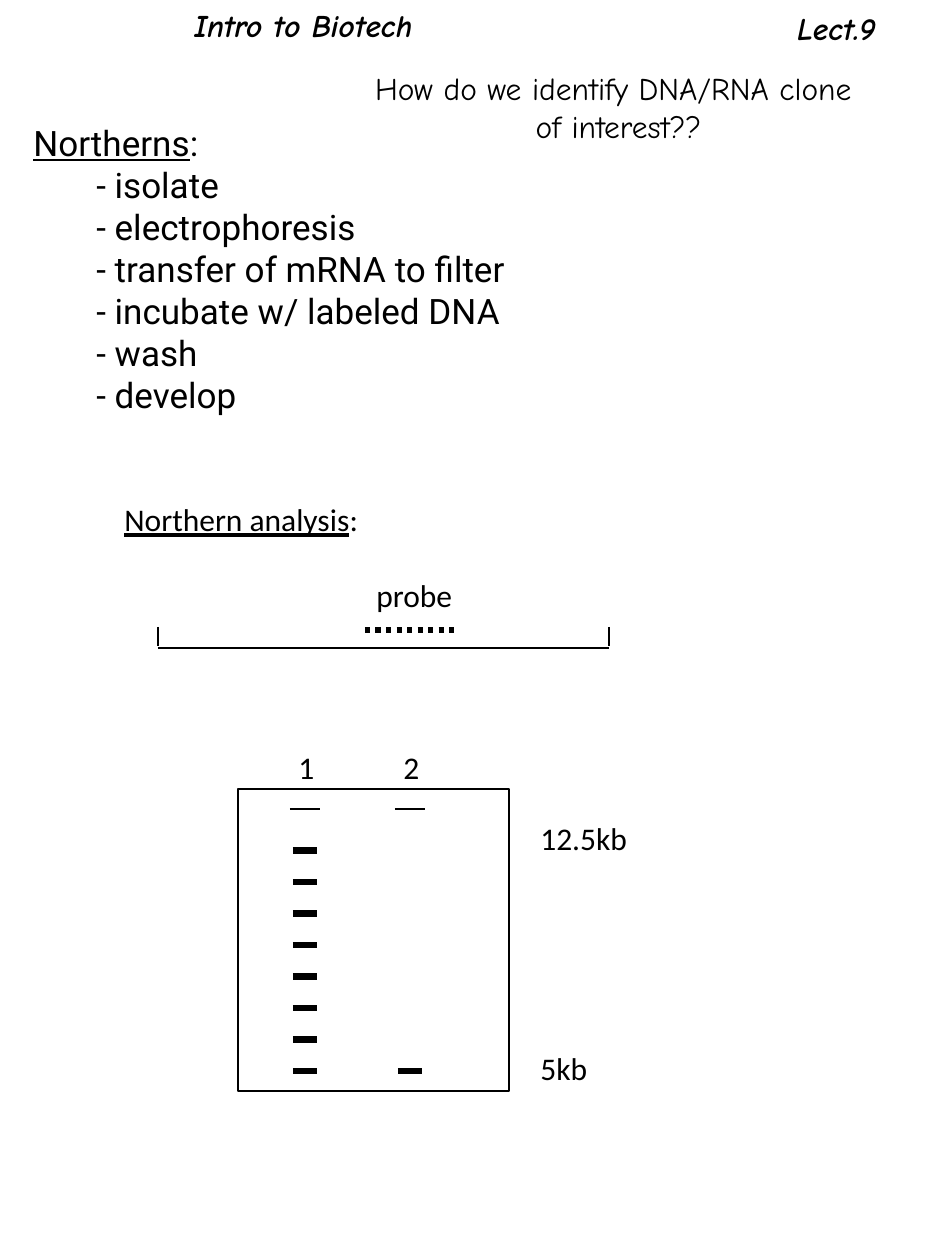
from lxml.etree import SubElement
from pptx import Presentation
from pptx.dml.color import RGBColor
from pptx.enum.dml import MSO_LINE
from pptx.enum.shapes import MSO_CONNECTOR, MSO_SHAPE
from pptx.enum.text import MSO_AUTO_SIZE, PP_ALIGN
from pptx.oxml.ns import qn
from pptx.util import Emu, Pt

COLORS = {"ink": "000000", "paper": "FFFFFF"}
BODY, STEPS, HAND = "Calibri", "Roboto", "Comic Neue"
TAB = 63


def px(length):
    return Emu(round(length * 914400 / 126))


def color(name):
    return RGBColor.from_string(COLORS[name])


class Page:
    def __init__(self, slide):
        self.slide = slide
        slide.background.fill.solid()
        slide.background.fill.fore_color.rgb = color("paper")

    def text(self, left, top, width, height, lines, face=BODY, size=18,
             align=PP_ALIGN.LEFT, strong=False):
        box = self.slide.shapes.add_textbox(px(left), px(top), px(width), px(height))
        frame = box.text_frame
        frame.word_wrap = False
        frame.auto_size = MSO_AUTO_SIZE.SHAPE_TO_FIT_TEXT
        for number, line in enumerate(lines):
            paragraph = frame.paragraphs[0] if number == 0 else frame.add_paragraph()
            paragraph.alignment = align
            if line[0][0].startswith("\t"):
                stops = SubElement(paragraph._p.get_or_add_pPr(), qn("a:tabLst"))
                SubElement(stops, qn("a:tab"), pos=str(px(TAB)), algn="l")
            for words, underlined in line:
                run = paragraph.add_run()
                run.text = words
                font = run.font
                font.name, font.size = face, Pt(size)
                font.underline = underlined
                font.bold = font.italic = strong
                font.color.rgb = color("ink")

    def line(self, x1, y1, x2, y2, weight=1, dash=None):
        rule = self.slide.shapes.add_connector(
            MSO_CONNECTOR.STRAIGHT, px(x1), px(y1), px(x2), px(y2))
        rule.line.color.rgb = color("ink")
        rule.line.width = Pt(weight)
        if dash:
            rule.line.dash_style = dash
        SubElement(rule._element.spPr, qn("a:effectLst"))

    def frame(self, left, top, width, height):
        box = self.slide.shapes.add_shape(
            MSO_SHAPE.RECTANGLE, px(left), px(top), px(width), px(height))
        box.shadow.inherit = False
        box.fill.background()
        box.line.color.rgb = color("ink")
        box.line.width = Pt(1)


def plain(words):
    return [(words, False)]


def heading(words):
    return [(words, True), (":", False)]


def main():
    deck = Presentation()
    deck.slide_width, deck.slide_height = px(945), px(1260)
    page = Page(deck.slides.add_slide(deck.slide_layouts[6]))

    steps = ["isolate", "electrophoresis", "transfer of mRNA to filter",
             "incubate w/ labeled DNA", "wash", "develop"]
    page.text(21, 115, 553, 309,
              [heading("Northerns")] + [plain(f"\t- {step}") for step in steps],
              face=STEPS, size=20)
    page.text(112, 494, 261, 50, [heading("Northern analysis")])

    bracket_left, bracket_right, bracket_base = 158, 609, 648
    page.line(bracket_left, bracket_base, bracket_right, bracket_base)
    for end in (bracket_right, bracket_left):
        page.line(end, 627, end, 646)

    page.frame(238, 789, 271, 302)
    first_band, band_count = 851, 8
    band_tops = [first_band + number * 63 // 2 for number in range(band_count)]
    for lane, center, bands in (("1", 305, band_tops), ("2", 410, band_tops[-1:])):
        page.text(center - 19, 742, 42, 50, [plain(lane)])
        page.line(center - 15, 809, center + 15, 809)
        for band in bands:
            page.line(center - 12, band, center + 12, band, weight=4)
    page.text(528, 1043, 72, 50, [plain("5kb")])
    page.text(528, 813, 112, 50, [plain("12.5kb")])

    page.line(365, 630, 457, 630, weight=3, dash=MSO_LINE.ROUND_DOT)
    page.text(364, 570, 102, 50, [plain("probe")])

    center = PP_ALIGN.CENTER
    page.text(774, 3, 125, 50, [plain("Lect.9")], HAND, align=center, strong=True)
    page.text(150, 0, 307, 54, [plain("Intro to Biotech")], HAND, align=center, strong=True)
    page.text(338, 63, 561, 89,
              [plain("How do we identify DNA/RNA clone "), plain("of interest??")],
              HAND, align=center)

    deck.save("out.pptx")


if __name__ == "__main__":
    main()
